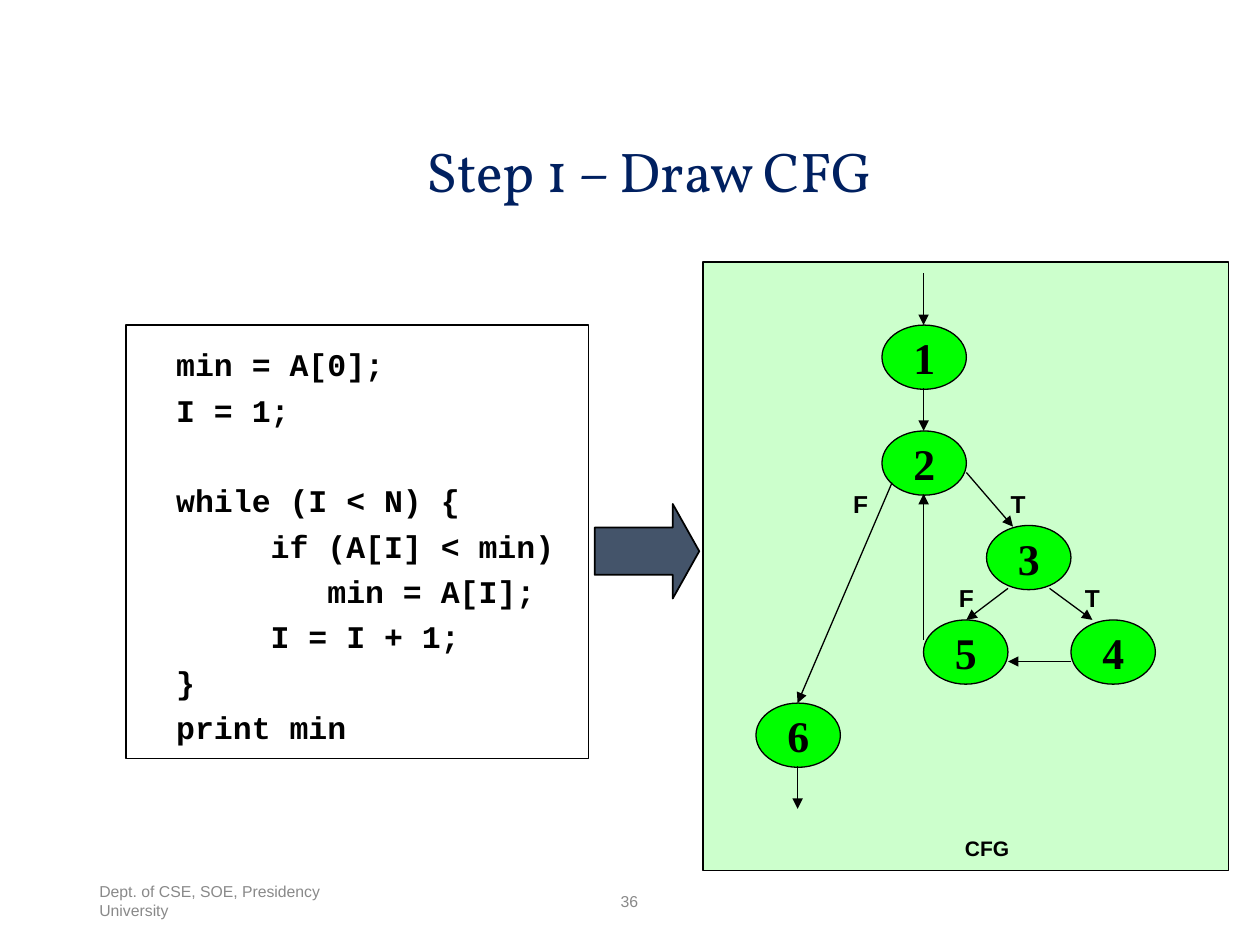
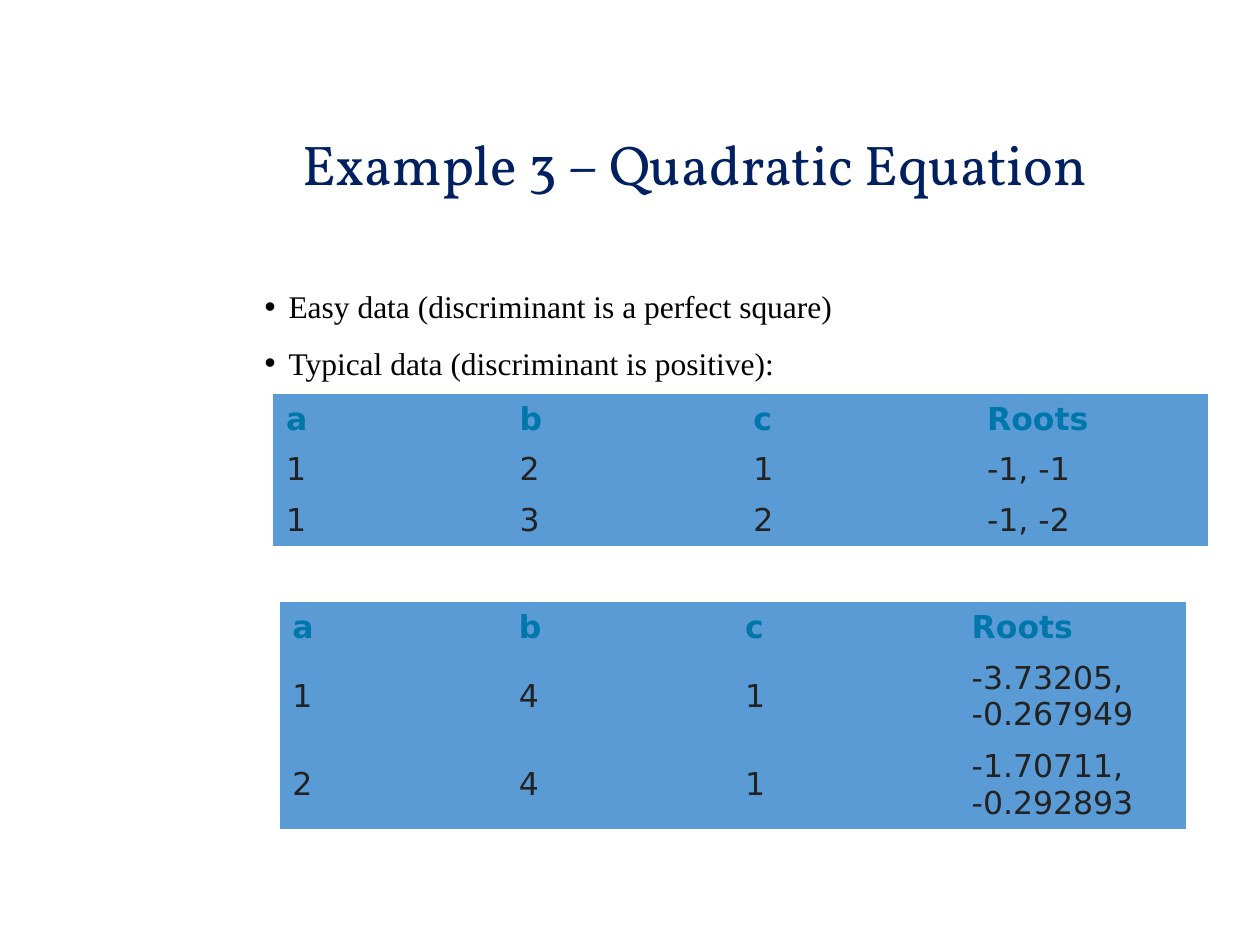
from lxml.etree import SubElement
from pptx import Presentation
from pptx.dml.color import RGBColor
from pptx.enum.shapes import MSO_CONNECTOR as CONNECTOR, MSO_SHAPE as SHAPE
from pptx.enum.text import MSO_ANCHOR as ANCHOR, PP_ALIGN as ALIGN
from pptx.oxml.ns import qn
from pptx.util import Inches, Pt

BLACK, NAVY, GREY, SLATE = "000000", "002060", "898989", "44546A"
PALE_GREEN, GREEN = "CCFFCC", "00FF00"
TABLE_BLUE, HEADER_TEAL, CELL_TEXT = "5B9BD5", "0077AA", "222222"
SANS, SERIF, MONO = "Arial", "Times New Roman", "Courier New"
TITLE_FONT, TABLE_FONT = "Vollkorn", "DejaVu Sans"
NO_STYLE_NO_GRID = "{2D5ABB26-0587-4C30-8999-92F81FD0307C}"

CFG_TITLE = ("Step 1 – Draw CFG", (3.13, 1.11, 4.05, 0.6))
FOOTERS = [
    ("Dept. of CSE, SOE, Presidency University", (0.69, 6.95, 2.25, 0.4), ALIGN.LEFT),
    ("36", (3.31, 6.95, 3.37, 0.4), ALIGN.CENTER),
]
CODE_BLOCKS = [
    ["  min = A[0];", "  I = 1;"],
    [
        "  while (I < N) {",
        "       if (A[I] < min)",
        "          min = A[I];",
        "       I = I + 1;",
        "  }",
        "  print min",
    ],
]
NODE_SIZE = (0.67, 0.51)
NODES = {
    "1": (7, 2.58),
    "2": (7, 3.42),
    "3": (7.83, 4.17),
    "4": (8.5, 4.92),
    "5": (7.33, 4.92),
    "6": (6, 5.58),
}
EDGES = [
    ((7.33, 2.17), (7.33, 2.58)),
    ((7.33, 3.08), (7.33, 3.42)),
    ((7.67, 3.75), (8.04, 4.18)),
    ((8, 4.67), (7.67, 4.92)),
    ((8.33, 4.67), (8.67, 4.92)),
    ((8.5, 5.25), (8, 5.25)),
    ((7.33, 5.08), (7.33, 3.92)),
    ((7.08, 3.83), (6.33, 5.58)),
    ((6.33, 6.08), (6.33, 6.42)),
]
BRANCH_LABELS = [("F", 6.58, 3.83), ("T", 7.83, 3.83), ("F", 7.42, 4.58), ("T", 8.42, 4.58)]

QUADRATIC_TITLE = ("Example 3 – Quadratic Equation", (2.22, 1.06, 6.59, 0.59))
DATA_KINDS = [
    "Easy data (discriminant is a perfect square)",
    "Typical data (discriminant is positive):",
]
HEADER = ("a", "b", "c", "Roots")
ROOT_TABLES = [
    ((2.17, 3.13, 7.42, 1.2), (0.4, 0.4, 0.4),
     [("1", "2", "1", "-1, -1"), ("1", "3", "2", "-1, -2")]),
    ((2.22, 4.78, 7.19, 1.8), (0.4, 0.7, 0.7),
     [("1", "4", "1", "-3.73205, -0.267949"), ("2", "4", "1", "-1.70711, -0.292893")]),
]


def color(hex_string):
    return RGBColor.from_string(hex_string)


def inches(values):
    return [Inches(value) for value in values]


def place(shape, box):
    shape.left, shape.top, shape.width, shape.height = inches(box)


def write(text_frame, text, font, size, ink, bold=False, align=ALIGN.LEFT,
          anchor=ANCHOR.TOP, spacing=1.0, margins=(0.1, 0.05), wrap=True):
    text_frame.text = text
    text_frame.word_wrap = wrap
    text_frame.vertical_anchor = anchor
    text_frame.margin_left = text_frame.margin_right = Inches(margins[0])
    text_frame.margin_top = text_frame.margin_bottom = Inches(margins[1])
    for paragraph in text_frame.paragraphs:
        paragraph.alignment = align
        paragraph.line_spacing = spacing
        paragraph.space_before = Pt(0)
        for run in paragraph.runs:
            style_run(run, font, size, ink, bold)


def style_run(run, font, size, ink, bold):
    run.font.name = font
    run.font.size = Pt(size)
    run.font.bold = bold
    run.font.color.rgb = color(ink)


def add_titled_slide(presentation, layout_index, title):
    slide = presentation.slides.add_slide(presentation.slide_layouts[layout_index])
    text, box = title
    place(slide.shapes.title, box)
    write(slide.shapes.title.text_frame, text, TITLE_FONT, 32, NAVY,
          align=ALIGN.CENTER, spacing=0.9, margins=(0.07, 0.03))
    return slide


def add_text(slide, text, box, size, ink, **options):
    text_box = slide.shapes.add_textbox(*inches(box))
    write(text_box.text_frame, text, SANS, size, ink, **options)


def add_outlined(slide, kind, box, fill=None, line_width=0.75):
    shape = slide.shapes.add_shape(kind, *inches(box))
    shape.shadow.inherit = False
    if fill:
        shape.fill.solid()
        shape.fill.fore_color.rgb = color(fill)
    else:
        shape.fill.background()
    shape.line.color.rgb = color(BLACK)
    shape.line.width = Pt(line_width)
    return shape


def add_arrow(slide, start, end):
    connector = slide.shapes.add_connector(CONNECTOR.STRAIGHT, *inches(start + end))
    connector.line.color.rgb = color(BLACK)
    connector.line.width = Pt(0.75)
    properties = connector._element.spPr
    SubElement(properties.find(qn("a:ln")), qn("a:tailEnd"), type="triangle")
    SubElement(properties, qn("a:effectLst"))


def add_code(slide):
    listing = add_outlined(slide, SHAPE.RECTANGLE, (1, 2.58, 3.67, 3.44))
    text_frame = listing.text_frame
    lines = [line for block in CODE_BLOCKS for line in block]
    write(text_frame, "\n".join(lines), MONO, 18, BLACK, bold=True,
          spacing=1.2, margins=(0.1, 0.1))
    text_frame.paragraphs[len(CODE_BLOCKS[0])].space_before = Pt(26)


def add_flow_graph(slide):
    add_outlined(slide, SHAPE.RECTANGLE, (5.58, 2.08, 4.17, 4.83), PALE_GREEN, 1)
    for name, corner in NODES.items():
        node = add_outlined(slide, SHAPE.OVAL, corner + NODE_SIZE, GREEN)
        write(node.text_frame, name, SERIF, 25, BLACK, bold=True,
              align=ALIGN.CENTER, anchor=ANCHOR.MIDDLE, wrap=False)
    for start, end in EDGES:
        add_arrow(slide, start, end)
    for text, left, top in BRANCH_LABELS:
        add_text(slide, text, (left, top, 0.5, 0.34), 14, BLACK, bold=True, align=ALIGN.CENTER)
    add_text(slide, "CFG", (7.5, 6.58, 0.67, 0.3), 12, BLACK, bold=True, align=ALIGN.CENTER)


def add_bullets(slide):
    body = slide.placeholders[1]
    place(body, (2, 2.08, 7.58, 1.25))
    write(body.text_frame, "\n".join(DATA_KINDS), SERIF, 18, BLACK,
          align=ALIGN.JUSTIFY, spacing=1.5)
    for paragraph in body.text_frame.paragraphs:
        properties = paragraph._p.get_or_add_pPr()
        properties.set("marL", str(Inches(0.19)))
        properties.set("indent", str(-Inches(0.19)))
        bullet_color = SubElement(properties, qn("a:buClr"))
        SubElement(bullet_color, qn("a:srgbClr"), val=BLACK)
        SubElement(properties, qn("a:buFont"), typeface=SANS)
        SubElement(properties, qn("a:buChar"), char="•")


def add_root_table(slide, box, row_heights, data):
    rows = [HEADER] + data
    table = slide.shapes.add_table(len(rows), len(HEADER), *inches(box)).table
    table.first_row = table.horz_banding = False
    table._tbl.tblPr.find(qn("a:tableStyleId")).text = NO_STYLE_NO_GRID
    for column in table.columns:
        column.width = Inches(box[2] / len(HEADER))
    for row_index, (values, height) in enumerate(zip(rows, row_heights)):
        table.rows[row_index].height = Inches(height)
        is_header = row_index == 0
        for column_index, value in enumerate(values):
            cell = table.cell(row_index, column_index)
            cell.fill.solid()
            cell.fill.fore_color.rgb = color(TABLE_BLUE)
            cell.vertical_anchor = ANCHOR.MIDDLE
            cell.text = value
            paragraph = cell.text_frame.paragraphs[0]
            paragraph.alignment = ALIGN.JUSTIFY if value == "Roots" else ALIGN.LEFT
            style_run(paragraph.runs[0], TABLE_FONT, 18,
                      HEADER_TEAL if is_header else CELL_TEXT, is_header)


def build_cfg_slide(presentation):
    slide = add_titled_slide(presentation, 5, CFG_TITLE)
    for text, box, align in FOOTERS:
        add_text(slide, text, box, 9, GREY, align=align, anchor=ANCHOR.MIDDLE)
    add_code(slide)
    add_flow_graph(slide)
    block_arrow = add_outlined(slide, SHAPE.RIGHT_ARROW, (4.72, 4, 0.83, 0.75), SLATE, 1)
    block_arrow.adjustments[0] = 0.5
    block_arrow.adjustments[1] = 0.28


def build_quadratic_slide(presentation):
    slide = add_titled_slide(presentation, 1, QUADRATIC_TITLE)
    add_bullets(slide)
    for box, row_heights, data in ROOT_TABLES:
        add_root_table(slide, box, row_heights, data)


def main():
    """Build the control flow graph and quadratic equation slides."""
    presentation = Presentation()
    presentation.slide_width, presentation.slide_height = inches((10, 7.5))
    build_cfg_slide(presentation)
    build_quadratic_slide(presentation)
    presentation.save("out.pptx")


if __name__ == "__main__":
    main()
